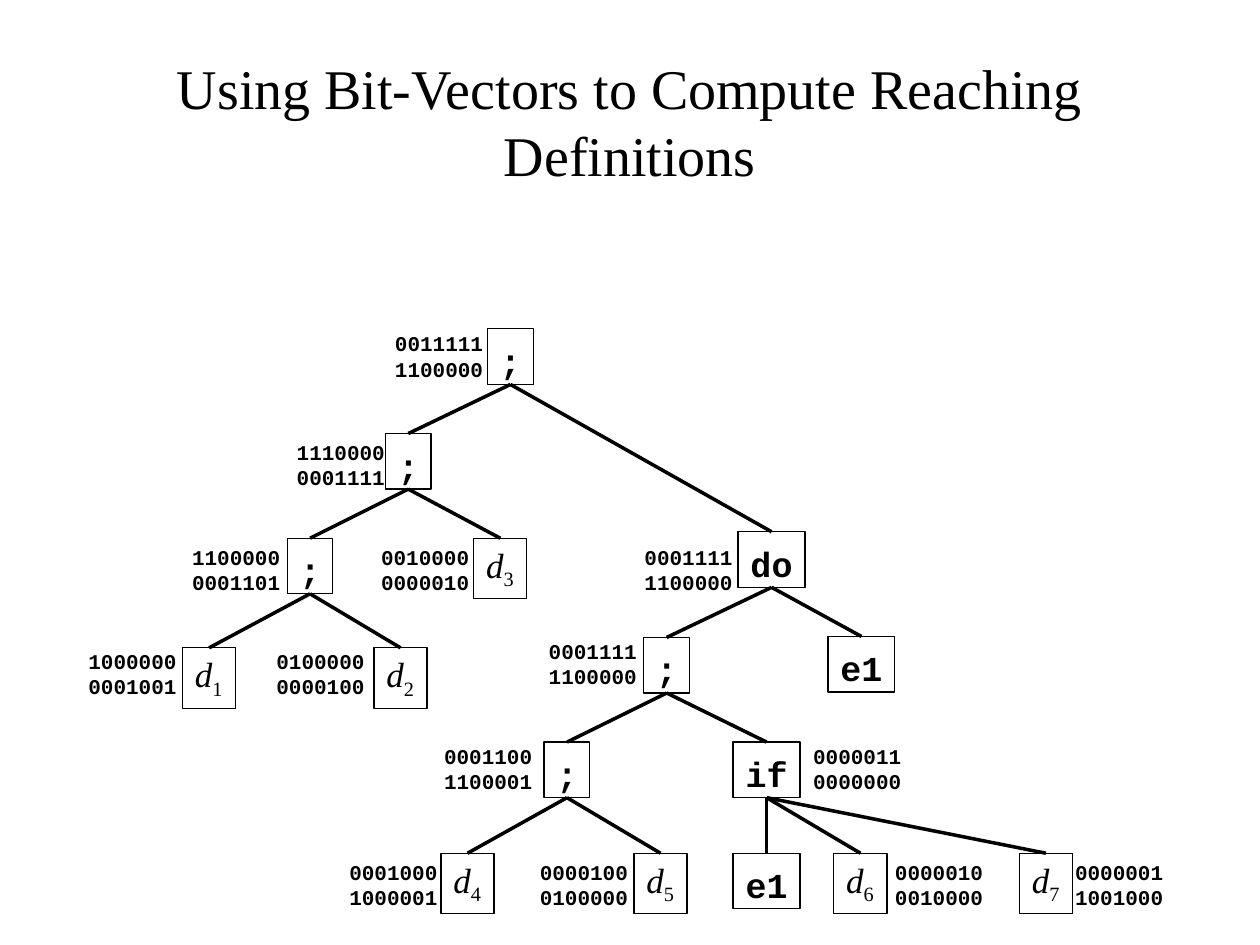
from collections import namedtuple
from lxml.etree import SubElement
from pptx import Presentation
from pptx.dml.color import RGBColor
from pptx.enum.shapes import MSO_CONNECTOR, MSO_SHAPE
from pptx.enum.text import MSO_ANCHOR, MSO_AUTO_SIZE, PP_ALIGN
from pptx.oxml.ns import qn
from pptx.util import Cm, Pt

Theme = namedtuple("Theme", "ink serif mono title node bits edge rim")
THEME = Theme(RGBColor(0, 0, 0), "Times New Roman", "Courier New",
              Pt(32), Pt(20), Pt(12), Pt(2), Pt(0.75))

TITLE = dict(name=THEME.serif, size=THEME.title)
CODE = dict(name=THEME.mono, size=THEME.node, bold=True)
VAR = dict(name=THEME.serif, size=THEME.node, italic=True)
INDEX = dict(name=THEME.serif, size=THEME.node, italic=False)
BITS = dict(name=THEME.mono, size=THEME.bits, bold=True)

SIZES = {"seq": (0.92, 1.12), "word": (1.35, 1.12), "def": (1.07, 1.22)}

NODES = {
    "root": ("seq", ";", 9.83, 6.63),
    "left": ("seq", ";", 7.77, 8.74),
    "pair": ("seq", ";", 5.79, 10.85),
    "d1": ("def", "d1", 3.68, 13.06),
    "d2": ("def", "d2", 7.54, 13.06),
    "d3": ("def", "d3", 9.55, 10.85),
    "do": ("word", "do", 14.88, 10.72),
    "body": ("seq", ";", 12.98, 12.85),
    "test": ("word", "e1", 16.69, 12.83),
    "init": ("seq", ";", 10.97, 14.96),
    "if": ("word", "if", 14.78, 14.96),
    "d4": ("def", "d4", 8.89, 17.2),
    "d5": ("def", "d5", 12.78, 17.2),
    "cond": ("word", "e1", 14.78, 17.2),
    "d6": ("def", "d6", 16.81, 17.2),
    "d7": ("def", "d7", 20.55, 17.2),
}

TREE = {
    "root": ("left", "do"),
    "left": ("pair", "d3"),
    "pair": ("d1", "d2"),
    "do": ("body", "test"),
    "body": ("init", "if"),
    "init": ("d4", "d5"),
    "if": ("cond", "d6", "d7"),
}

VECTORS = [
    ("0011111\n1100000", 7.7, 6.5),
    ("1110000\n0001111", 5.72, 8.69),
    ("1100000\n0001101", 3.61, 10.8),
    ("0010000\n0000010", 7.42, 10.8),
    ("0001111\n1100000", 12.73, 10.8),
    ("1000000\n0001001", 1.52, 12.9),
    ("0100000\n0000100", 5.31, 12.9),
    ("0001111\n1100000", 10.8, 12.7),
    ("0001100\n1100001", 8.69, 14.81),
    ("0000011\n0000000", 16.13, 14.81),
    ("0001000\n1000001", 6.78, 17.15),
    ("0000100\n0100000", 10.62, 17.15),
    ("0000010\n0010000", 17.78, 17.15),
    ("0000001\n1001000", 21.41, 17.15),
]


def apply(item, style):
    for key, value in style.items():
        setattr(item, key, value)


def paint(run, style):
    apply(run.font, style)
    run.font.color.rgb = THEME.ink


def write(para, text, style):
    run = para.add_run()
    run.text = text
    paint(run, style)
    return run


def add_title(slide, text):
    title = slide.shapes.title
    apply(title, dict(left=Cm(1.9), top=Cm(0.43), width=Cm(21.6), height=Cm(4.01)))
    frame = title.text_frame
    apply(frame, dict(auto_size=MSO_AUTO_SIZE.NONE, word_wrap=True,
                      vertical_anchor=MSO_ANCHOR.MIDDLE))
    para = frame.paragraphs[0]
    para.alignment = PP_ALIGN.CENTER
    write(para, text, TITLE)


def add_node(slide, kind, text, left, top):
    width, height = SIZES[kind]
    box = slide.shapes.add_shape(MSO_SHAPE.RECTANGLE, Cm(left), Cm(top),
                                 Cm(width), Cm(height))
    box.shadow.inherit = False
    box.fill.background()
    box.line.color.rgb = THEME.ink
    box.line.width = THEME.rim
    frame = box.text_frame
    apply(frame, dict(auto_size=MSO_AUTO_SIZE.NONE, word_wrap=False,
                      vertical_anchor=MSO_ANCHOR.TOP))
    para = frame.paragraphs[0]
    apply(para, dict(alignment=PP_ALIGN.LEFT, line_spacing=Pt(26.5)))
    if kind == "def":
        write(para, text[0], VAR)
        index = write(para, text[1:], INDEX)
        index.font._element.set("baseline", "-25000")
    else:
        write(para, text, CODE)
    return box


def add_edge(slide, start, end):
    edge = slide.shapes.add_connector(MSO_CONNECTOR.STRAIGHT, 0, 0, 0, 0)
    edge.begin_connect(start, 2)
    edge.end_connect(end, 0)
    edge.line.color.rgb = THEME.ink
    edge.line.width = THEME.edge
    SubElement(edge._element.spPr, qn("a:effectLst"))


def add_bits(slide, text, left, top):
    box = slide.shapes.add_textbox(Cm(left), Cm(top), Cm(2.29), Cm(1.27))
    frame = box.text_frame
    apply(frame, dict(auto_size=MSO_AUTO_SIZE.NONE, word_wrap=False,
                      margin_top=Cm(0.17)))
    para = frame.paragraphs[0]
    para.text = text
    apply(para, dict(alignment=PP_ALIGN.RIGHT, line_spacing=Pt(14.4)))
    for run in para.runs:
        paint(run, BITS)
    for gap in para._p.findall(qn("a:br")):
        SubElement(gap, qn("a:rPr"), sz="1200")


def main():
    deck = Presentation()
    deck.slide_width, deck.slide_height = Cm(25.4), Cm(19.05)
    slide = deck.slides.add_slide(deck.slide_layouts[5])
    add_title(slide, "Using Bit-Vectors to Compute Reaching Definitions")
    boxes = {name: add_node(slide, *node) for name, node in NODES.items()}
    for name, kids in TREE.items():
        for kid in kids:
            add_edge(slide, boxes[name], boxes[kid])
    for vector in VECTORS:
        add_bits(slide, *vector)
    deck.save("out.pptx")


if __name__ == "__main__":
    main()
